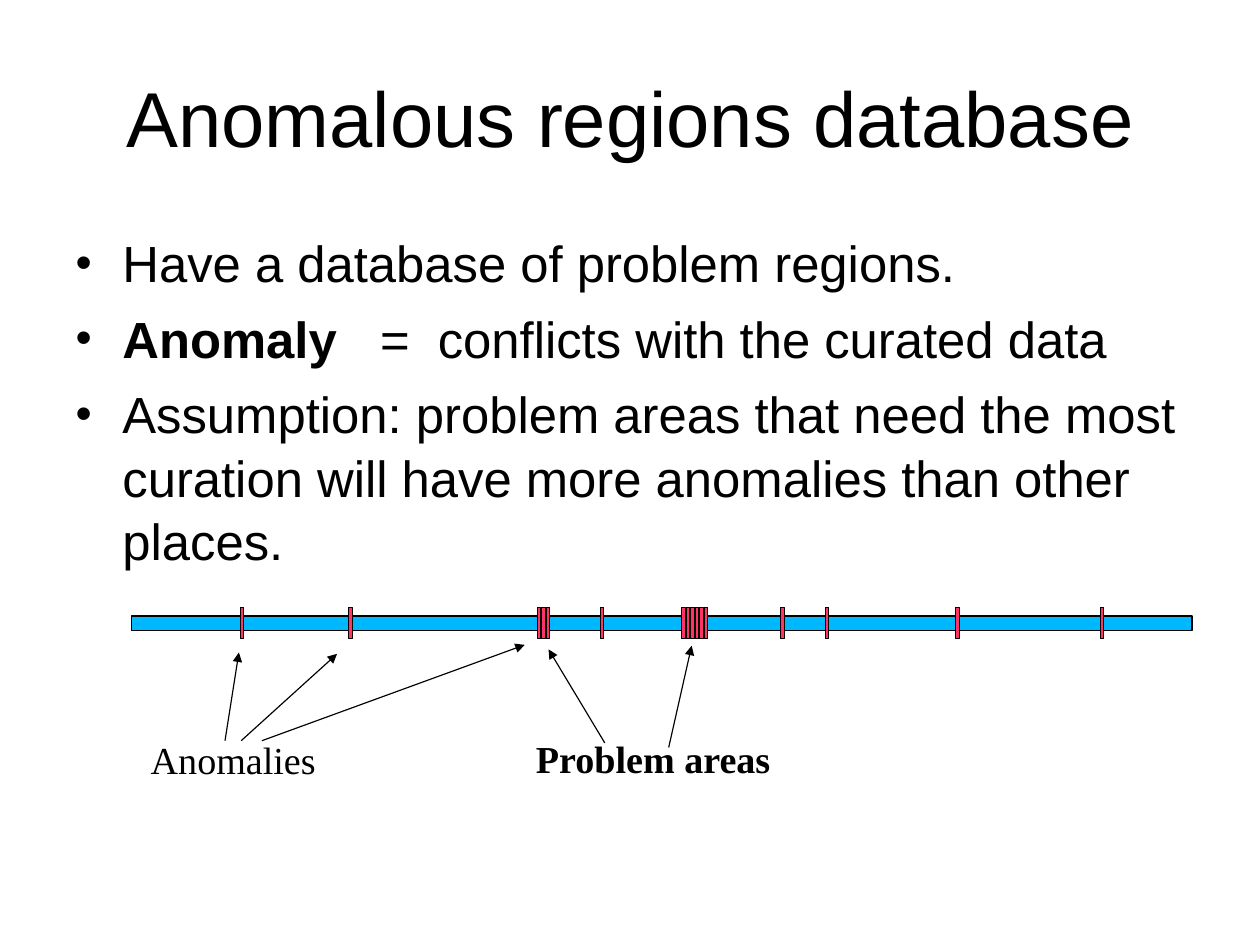
from dataclasses import dataclass

from lxml.etree import SubElement
from pptx import Presentation
from pptx.dml.color import RGBColor
from pptx.enum.shapes import MSO_CONNECTOR, MSO_SHAPE
from pptx.enum.text import MSO_ANCHOR, PP_ALIGN
from pptx.oxml.ns import qn
from pptx.slide import Slide
from pptx.text.text import TextFrame, _Paragraph
from pptx.util import Cm, Pt

COLORS = {"ink": "000000", "sequence": "00B8FF", "anomaly": "FF3366"}
LINE_WIDTH = Pt(0.75)
BULLET_INDENT = 1.04
TICK_TOP, TICK_WIDTH, TICK_HEIGHT, TICK_PITCH = 13.5, 0.08, 0.7, 0.1


@dataclass
class Span:
    text: str
    bold: bool = False


@dataclass
class Label:
    text: str
    left: float
    top: float
    width: float
    bold: bool = False


@dataclass
class AnomalyGroup:
    left: float
    count: int = 1


@dataclass
class Arrow:
    start: tuple[float, float]
    end: tuple[float, float]


BULLETS = [
    [Span("Have a database of problem regions.")],
    [Span("Anomaly", True), Span("\t=\tconflicts with the curated data")],
    [Span("Assumption: problem areas that need the most curation "
          "will have more anomalies than other places.")],
]
TAB_STOPS = [6.77, 8.05]
ANOMALY_GROUPS = [
    AnomalyGroup(5.34), AnomalyGroup(7.75), AnomalyGroup(11.94, 3),
    AnomalyGroup(13.34), AnomalyGroup(15.15, 6), AnomalyGroup(17.35),
    AnomalyGroup(18.34), AnomalyGroup(21.24), AnomalyGroup(24.45),
]
LABELS = [
    Label("Problem areas", 11.91, 16.43, 6.3, True),
    Label("Anomalies", 3.35, 16.46, 4.72),
]
ARROWS = [
    Arrow((13.44, 16.51), (12.19, 14.43)),
    Arrow((14.86, 16.61), (15.37, 14.35)),
    Arrow((5, 16.46), (5.31, 14.5)),
    Arrow((5.36, 16.46), (7.49, 14.53)),
    Arrow((5.82, 16.46), (11.66, 14.33)),
]


def color(name: str) -> RGBColor:
    return RGBColor.from_string(COLORS[name])


def add_box(page: Slide, left: float, top: float, width: float, height: float,
            side_inset: float = 0, end_inset: float = 0) -> TextFrame:
    box = page.shapes.add_textbox(Cm(left), Cm(top), Cm(width), Cm(height))
    frame = box.text_frame
    frame.word_wrap = True
    frame.margin_left = frame.margin_right = Cm(side_inset)
    frame.margin_top = frame.margin_bottom = Cm(end_inset)
    return frame


def add_span(para: _Paragraph, span: Span, size: float, font: str) -> None:
    run = para.add_run()
    run.text = span.text
    run.font.name = font
    run.font.size = Pt(size)
    run.font.bold = span.bold
    run.font.color.rgb = color("ink")


def set_bullet(para: _Paragraph) -> None:
    properties = para._p.get_or_add_pPr()
    properties.set("marL", str(Cm(BULLET_INDENT)))
    properties.set("indent", str(-Cm(BULLET_INDENT)))
    bullet_color = SubElement(properties, qn("a:buClr"))
    SubElement(bullet_color, qn("a:srgbClr"), val=COLORS["ink"])
    SubElement(properties, qn("a:buSzPct"), val="91000")
    SubElement(properties, qn("a:buFont"), typeface="Arial")
    SubElement(properties, qn("a:buChar"), char="•")
    tabs = SubElement(properties, qn("a:tabLst"))
    for stop in TAB_STOPS:
        SubElement(tabs, qn("a:tab"), pos=str(Cm(stop)), algn="l")


def add_bar(page: Slide, left: float, top: float, width: float,
            height: float, fill: str) -> None:
    bar = page.shapes.add_shape(
        MSO_SHAPE.RECTANGLE, Cm(left), Cm(top), Cm(width), Cm(height))
    bar.shadow.inherit = False
    bar.fill.solid()
    bar.fill.fore_color.rgb = color(fill)
    bar.line.color.rgb = color("ink")
    bar.line.width = LINE_WIDTH


def add_arrow(page: Slide, arrow: Arrow) -> None:
    connector = page.shapes.add_connector(
        MSO_CONNECTOR.STRAIGHT, *map(Cm, arrow.start), *map(Cm, arrow.end))
    connector.line.color.rgb = color("ink")
    connector.line.width = LINE_WIDTH
    SubElement(connector.line._get_or_add_ln(), qn("a:tailEnd"), type="triangle")
    SubElement(connector._element.spPr, qn("a:effectLst"))


def main() -> None:
    deck = Presentation()
    deck.slide_width, deck.slide_height = Cm(28), Cm(21)
    page = deck.slides.add_slide(deck.slide_layouts[6])

    title = add_box(page, 1.4, 0.84, 25.2, 3.5, 0.28, 0.15)
    title.vertical_anchor = MSO_ANCHOR.MIDDLE
    title.paragraphs[0].alignment = PP_ALIGN.CENTER
    add_span(title.paragraphs[0], Span("Anomalous regions database"), 49, "Arial")

    body = add_box(page, 1.4, 4.95, 25.2, 13.8, 0.28, 0.15)
    for index, spans in enumerate(BULLETS):
        para = body.add_paragraph() if index else body.paragraphs[0]
        set_bullet(para)
        para.line_spacing = 1.04
        para.space_before = Pt(7.7 if index else 0)
        for span in spans:
            add_span(para, span, 32, "Arial")

    add_bar(page, 2.92, 13.69, 23.57, 0.33, "sequence")
    for group in ANOMALY_GROUPS:
        for index in range(group.count):
            add_bar(page, group.left + index * TICK_PITCH, TICK_TOP,
                    TICK_WIDTH, TICK_HEIGHT, "anomaly")

    for label in LABELS:
        para = add_box(page, label.left, label.top, label.width, 0.94).paragraphs[0]
        para.line_spacing = 0.93
        add_span(para, Span(label.text, label.bold), 24, "Times New Roman")
    for arrow in ARROWS:
        add_arrow(page, arrow)

    deck.save("out.pptx")


if __name__ == "__main__":
    main()
